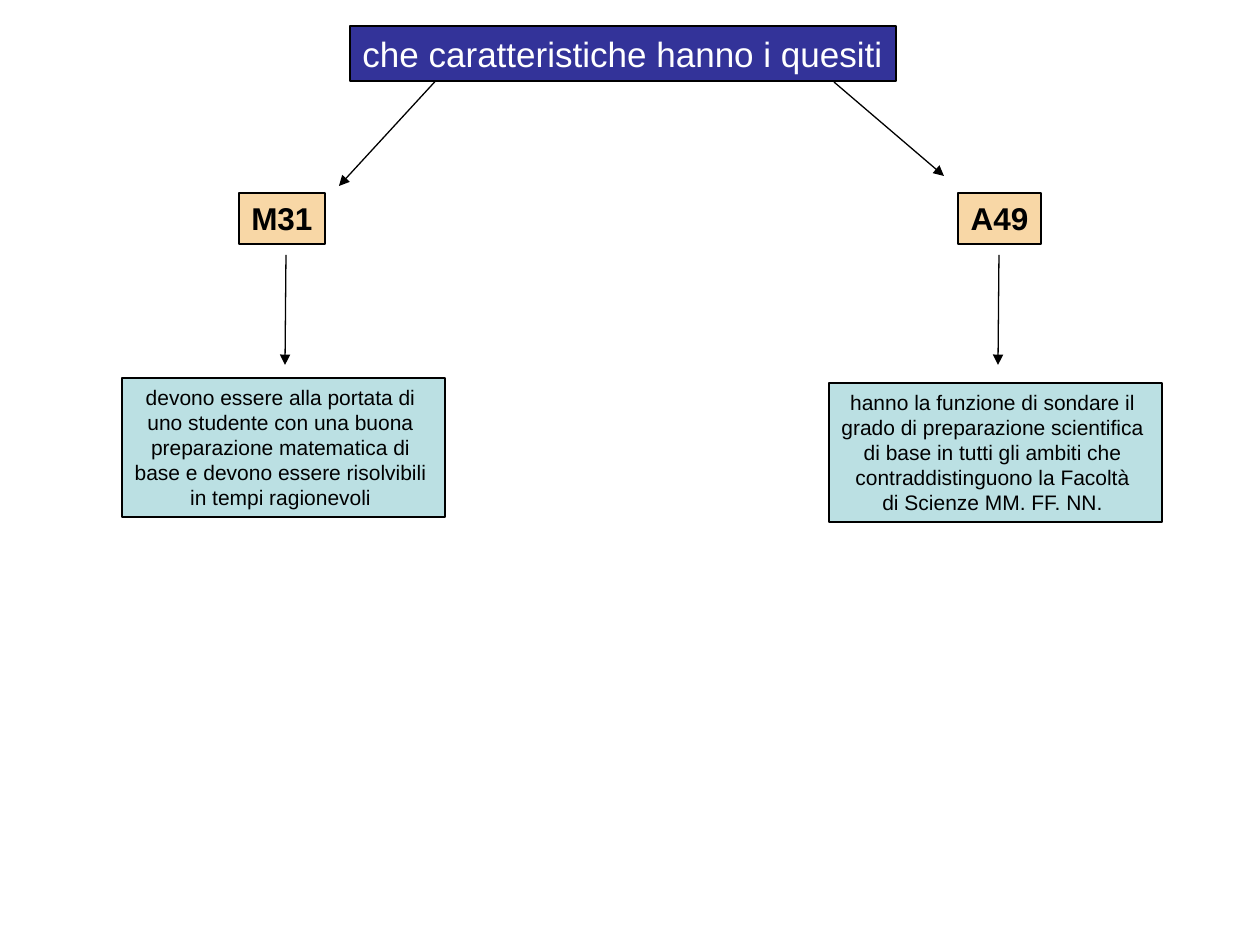
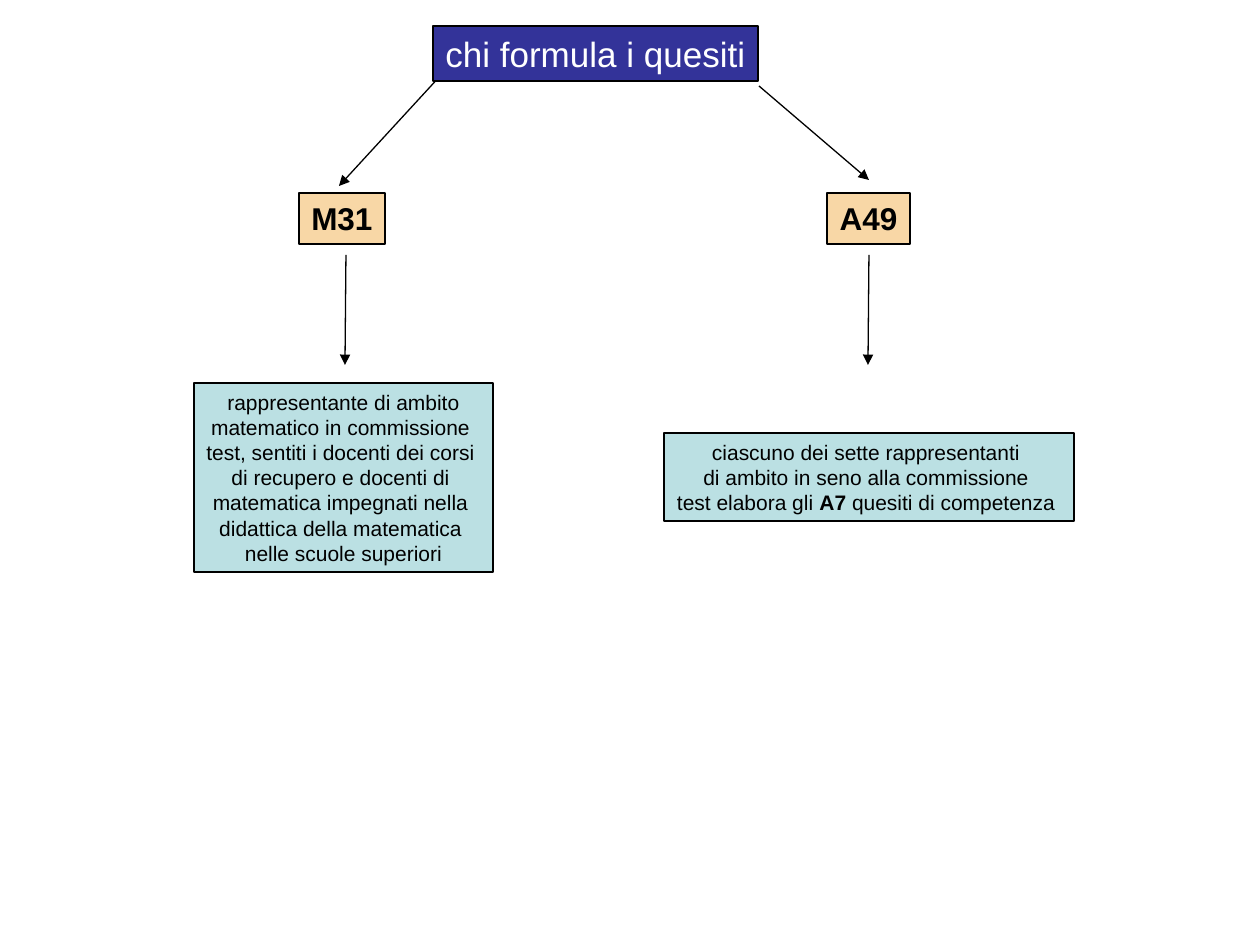
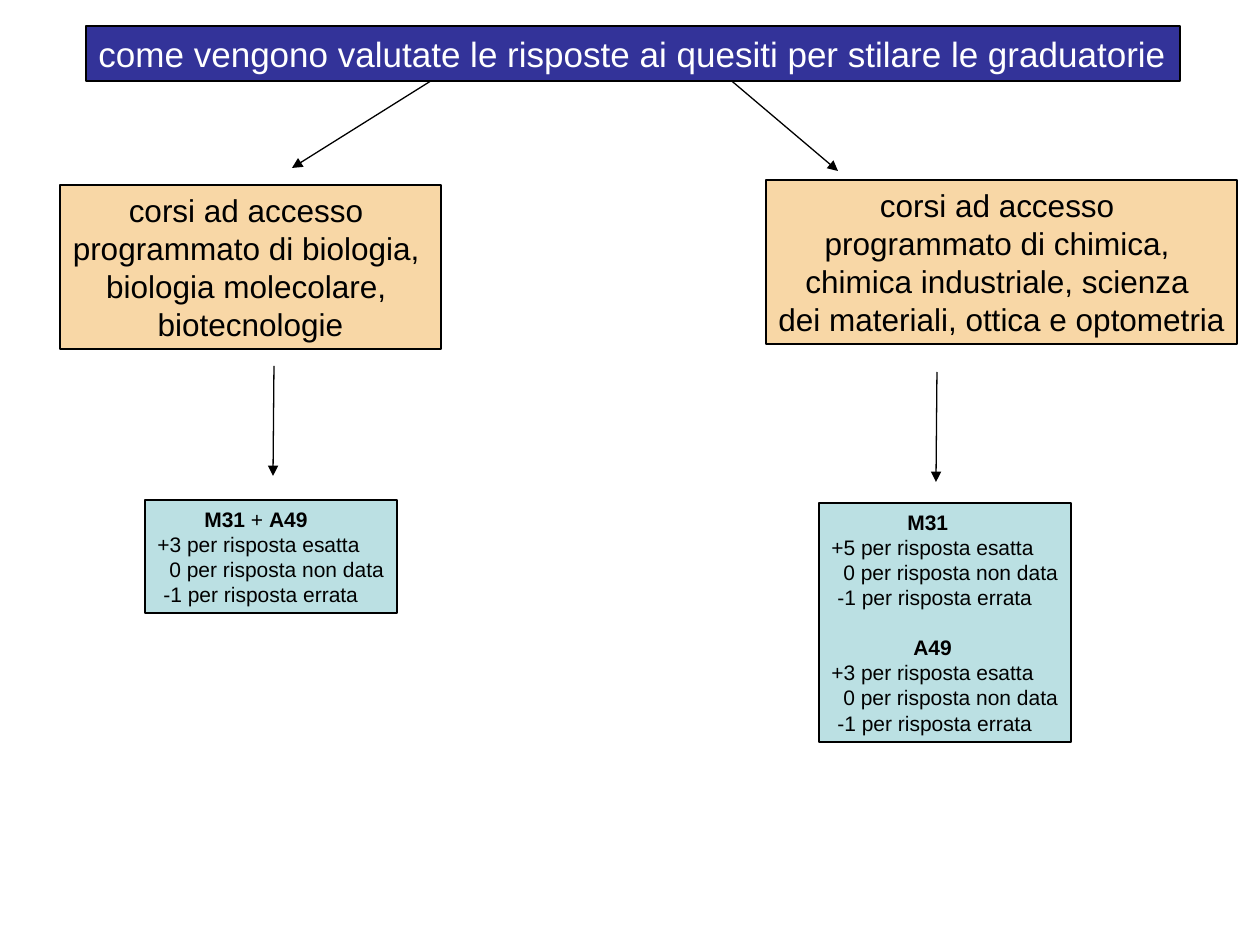
from dataclasses import dataclass

from pptx import Presentation
from pptx.dml.color import RGBColor
from pptx.enum.shapes import MSO_CONNECTOR
from pptx.enum.text import MSO_ANCHOR, MSO_AUTO_SIZE, PP_ALIGN
from pptx.oxml.ns import qn
from pptx.util import Emu, Inches, Pt
from lxml.etree import SubElement

PX_PER_INCH = 126
FONT = "Arial"
COLORS = {
    "title": "333399",
    "label": "F8D7A6",
    "note": "BBE0E3",
    "ink": "000000",
    "white": "FFFFFF",
}
TITLE_TOP, TITLE_HEIGHT = 26, 55
STEM_LENGTH = 110


@dataclass
class Line:
    """One paragraph; text between asterisks is bold."""
    text: str
    indent: int = 0
    space_before: int = 0


@dataclass
class Branch:
    """A label box with arrows and a note, all offset from the label's corner."""
    box: tuple
    label: list
    slant: tuple
    stem: tuple
    note_box: tuple
    note: list
    note_align: PP_ALIGN = PP_ALIGN.CENTER


def px(length):
    return Emu(round(length * 914400 / PX_PER_INCH))


def color(name):
    return RGBColor.from_string(COLORS[name])


def write_line(paragraph, line, size, ink, align):
    paragraph.alignment = align
    paragraph.line_spacing = Pt(size * 1.2)
    if line.indent:
        paragraph._p.get_or_add_pPr().set("marL", str(px(line.indent)))
    if line.space_before:
        paragraph.space_before = Pt(line.space_before)
    for index, part in enumerate(line.text.split("*")):
        if part:
            run = paragraph.add_run()
            run.text = part
            run.font.name = FONT
            run.font.size = Pt(size)
            run.font.bold = index % 2 == 1
            run.font.color.rgb = color(ink)


def add_box(slide, box, lines, fill, size, ink="ink", align=PP_ALIGN.CENTER):
    shape = slide.shapes.add_textbox(*map(px, box))
    shape.fill.solid()
    shape.fill.fore_color.rgb = color(fill)
    shape.line.color.rgb = color("ink")
    shape.line.width = Pt(0.75)
    text_frame = shape.text_frame
    text_frame.word_wrap = False
    text_frame.auto_size = MSO_AUTO_SIZE.NONE
    text_frame.vertical_anchor = MSO_ANCHOR.TOP
    for index, line in enumerate(lines):
        paragraph = text_frame.add_paragraph() if index else text_frame.paragraphs[0]
        if isinstance(line, str):
            line = Line(line)
        write_line(paragraph, line, size, ink, align)


def add_arrow(slide, start, end):
    arrow = slide.shapes.add_connector(
        MSO_CONNECTOR.STRAIGHT, *map(px, (*start, *end)))
    arrow.line.color.rgb = color("ink")
    arrow.line.width = Pt(0.75)
    properties = arrow._element.spPr
    SubElement(properties.find(qn("a:ln")), qn("a:tailEnd"), type="triangle")
    SubElement(properties, qn("a:effectLst"))


def add_branch(slide, branch):
    left, top = branch.box[:2]

    def place(x, y):
        return left + x, top + y

    stem_x, stem_y = branch.stem
    note_x, note_y, note_width, note_height = branch.note_box
    add_box(slide, branch.box, branch.label, "label", 18)
    add_arrow(slide, *(place(*point) for point in branch.slant))
    add_arrow(slide, place(stem_x, stem_y), place(stem_x - 1, stem_y + STEM_LENGTH))
    add_box(slide, (*place(note_x, note_y), note_width, note_height),
            branch.note, "note", 12, align=branch.note_align)


def add_tree_slide(presentation, title, title_left, title_width, branches):
    slide = presentation.slides.add_slide(presentation.slide_layouts[6])
    for branch in branches:
        add_branch(slide, branch)
    add_box(slide, (title_left, TITLE_TOP, title_width, TITLE_HEIGHT), [title],
            "title", 20, "white", PP_ALIGN.LEFT)


def score_lines(heading, heading_indent, points, space_before=0):
    return [
        Line(heading, heading_indent, space_before),
        Line(f"+{points} per risposta esatta"),
        Line("0 per risposta non data", 12),
        Line("-1 per risposta errata", 6),
    ]


FEATURES = [
    Branch(
        box=(239, 193, 86, 51), label=["*M31*"],
        slant=((203, -119), (100, -7)), stem=(47, 62),
        note_box=(-117, 185, 323, 139),
        note=["devono essere alla portata di ",
              "uno studente con una buona ",
              "preparazione matematica di ",
              "base e devono essere risolvibili ",
              "in tempi ragionevoli "]),
    Branch(
        box=(958, 193, 83, 51), label=["*A49*"],
        slant=((-124, -111), (-14, -17)), stem=(41, 62),
        note_box=(-129, 190, 333, 139),
        note=["hanno la funzione di sondare il ",
              "grado di preparazione scientifica ",
              "di base in tutti gli ambiti che ",
              "contraddistinguono la Facoltà ",
              "di Scienze MM. FF. NN. "]),
]

AUTHORS = [
    Branch(
        box=(299, 193, 86, 51), label=["*M31*"],
        slant=((143, -119), (40, -7)), stem=(47, 62),
        note_box=(-105, 190, 299, 189),
        note=["rappresentante di ambito",
              "matematico in commissione ",
              "test, sentiti i docenti dei corsi ",
              "di recupero e docenti di ",
              "matematica impegnati nella ",
              "didattica della matematica ",
              "nelle scuole superiori"]),
    Branch(
        box=(827, 193, 83, 51), label=["*A49*"],
        slant=((-68, -107), (42, -13)), stem=(42, 62),
        note_box=(-163, 240, 410, 88),
        note=["ciascuno dei sette rappresentanti ",
              "di ambito in seno alla commissione ",
              "test elabora gli *A7* quesiti di competenza "]),
]

SCORING = [
    Branch(
        box=(60, 185, 381, 164),
        label=["corsi ad accesso ",
               "programmato di biologia, ",
               "biologia molecolare, ",
               "biotecnologie"],
        slant=((382, -111), (232, -17)), stem=(214, 181),
        note_box=(85, 315, 252, 113),
        note=score_lines("*M31* + *A49*", 47, 3),
        note_align=PP_ALIGN.LEFT),
    Branch(
        box=(766, 180, 471, 164),
        label=["corsi ad accesso ",
               "programmato di chimica, ",
               "chimica industriale, scienza ",
               "dei materiali, ottica e optometria"],
        slant=((-39, -103), (72, -9)), stem=(171, 192),
        note_box=(53, 323, 252, 239),
        note=score_lines("*M31*", 76, 5) + score_lines("*A49*", 82, 3, 14),
        note_align=PP_ALIGN.LEFT),
]


def main():
    presentation = Presentation()
    presentation.slide_width = Inches(10)
    presentation.slide_height = Inches(7.5)
    add_tree_slide(presentation, "che caratteristiche hanno i quesiti",
                   350, 546, FEATURES)
    add_tree_slide(presentation, "chi formula i quesiti", 433, 325, AUTHORS)
    add_tree_slide(
        presentation,
        "come vengono valutate le risposte ai quesiti per stilare le graduatorie",
        86, 1094, SCORING)
    presentation.save("out.pptx")


if __name__ == "__main__":
    main()
